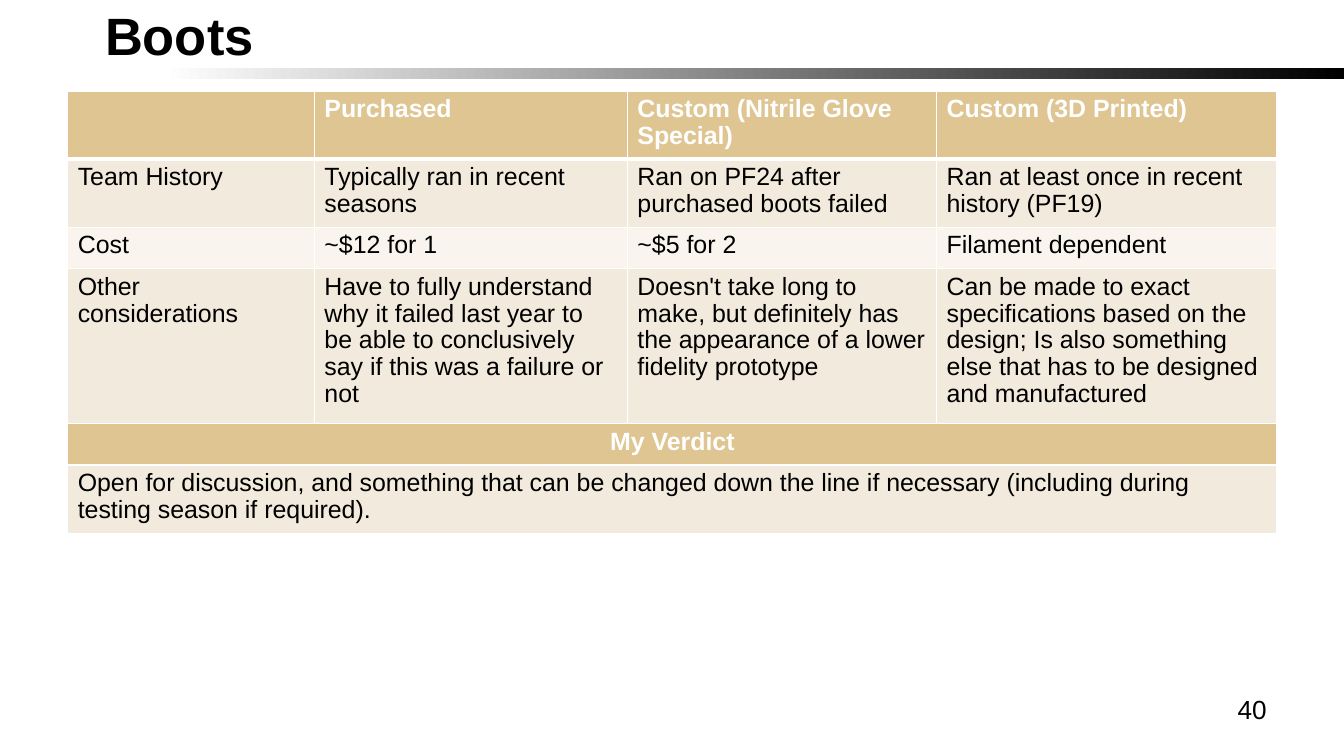
from lxml import etree
from pptx import Presentation
from pptx.dml.color import RGBColor
from pptx.enum import shapes, text
from pptx.oxml import ns
from pptx.util import Pt


def paint(fill, color):
    fill.solid()
    fill.fore_color.rgb = RGBColor.from_string(color)


def write(frame, words, size=17.8, color="000000", bold=False,
          align=text.PP_ALIGN.LEFT, space=1.0):
    frame.word_wrap = True
    para = frame.paragraphs[0]
    para.alignment = align
    para.line_spacing = space
    run = para.add_run()
    run.text = words
    run.font.name = "Arial"
    run.font.size = Pt(size)
    run.font.bold = bold
    paint(run.font.fill, color)


WHITE, GOLD, SAND, CREAM = "FFFFFF", "DEC592", "F2EADC", "F9F5EE"

deck = Presentation()
deck.slide_width, deck.slide_height = Pt(960), Pt(540)
slide = deck.slides.add_slide(deck.slide_layouts[6])

# Fading bar under the title
bar = slide.shapes.add_shape(shapes.MSO_SHAPE.RECTANGLE, 0, Pt(48.5), Pt(960), Pt(8))
bar.shadow.inherit = False
bar.line.fill.background()
bar.fill.gradient()
bar.fill.gradient_angle = 180
for stop, color, place in zip(bar.fill.gradient_stops, ("000000", WHITE), (0, 0.88)):
    stop.color.rgb = RGBColor.from_string(color)
    stop.position = place

# Title
title = slide.shapes.add_textbox(Pt(48), Pt(16), Pt(624), Pt(31)).text_frame
title.vertical_anchor = text.MSO_ANCHOR.BOTTOM
title.margin_left, title.margin_bottom = Pt(27), 0
write(title, "Boots", size=37.5, bold=True)

# Page number
page = slide.shapes.add_textbox(Pt(688), Pt(492), Pt(224), Pt(37)).text_frame
write(page, "40", size=18.7, align=text.PP_ALIGN.RIGHT)

# Table contents: fill, row height, words
rows = [
    (GOLD, 46.8, ["", "Purchased", "Custom (Nitrile Glove Special)",
                  "Custom (3D Printed)"]),
    (SAND, 46.8, ["Team History", "Typically ran in recent seasons",
                  "Ran on PF24 after purchased boots failed",
                  "Ran at least once in recent history (PF19)"]),
    (CREAM, 29.5, ["Cost", "~$12 for 1", "~$5 for 2", "Filament dependent"]),
    (SAND, 106, ["Other considerations",
                 "Have to fully understand why it failed last year to be able "
                 "to conclusively say if this was a failure or not",
                 "Doesn't take long to make, but definitely has the appearance "
                 "of a lower fidelity prototype",
                 "Can be made to exact specifications based on the design; Is "
                 "also something else that has to be designed and manufactured"]),
    (GOLD, 29.5, ["My Verdict"]),
    (SAND, 46.8, ["Open for discussion, and something that can be changed down "
                  "the line if necessary (including during testing season if "
                  "required)."]),
]
widths = [176.2, 223.6, 220.8, 243.2]
high = sum(row[1] for row in rows)
grid = slide.shapes.add_table(len(rows), len(widths), Pt(48.4), Pt(65),
                              Pt(sum(widths)), Pt(high)).table
for col, width in zip(grid.columns, widths):
    col.width = Pt(width)

for r, (color, height, words) in enumerate(rows):
    grid.rows[r].height = Pt(height)
    if len(words) == 1:
        grid.cell(r, 0).merge(grid.cell(r, len(widths) - 1))
    for c in range(len(widths)):
        cell = grid.cell(r, c)

        # White borders, thicker below the header
        props = cell._tc.get_or_add_tcPr()
        for side in "LRTB":
            thick = (r, side) in ((0, "B"), (1, "T"))
            line = etree.SubElement(props, ns.qn("a:ln" + side),
                                    w=str(Pt(3 if thick else 1)))
            solid = etree.SubElement(line, ns.qn("a:solidFill"))
            etree.SubElement(solid, ns.qn("a:srgbClr"), val=WHITE)
        paint(cell.fill, color)

        # Words
        if c < len(words) and words[c]:
            head = color == GOLD
            mid = head and len(words) == 1
            write(cell.text_frame, words[c], color=WHITE if head else "000000",
                  bold=head, space=0.97,
                  align=text.PP_ALIGN.CENTER if mid else text.PP_ALIGN.LEFT)

deck.save("out.pptx")
